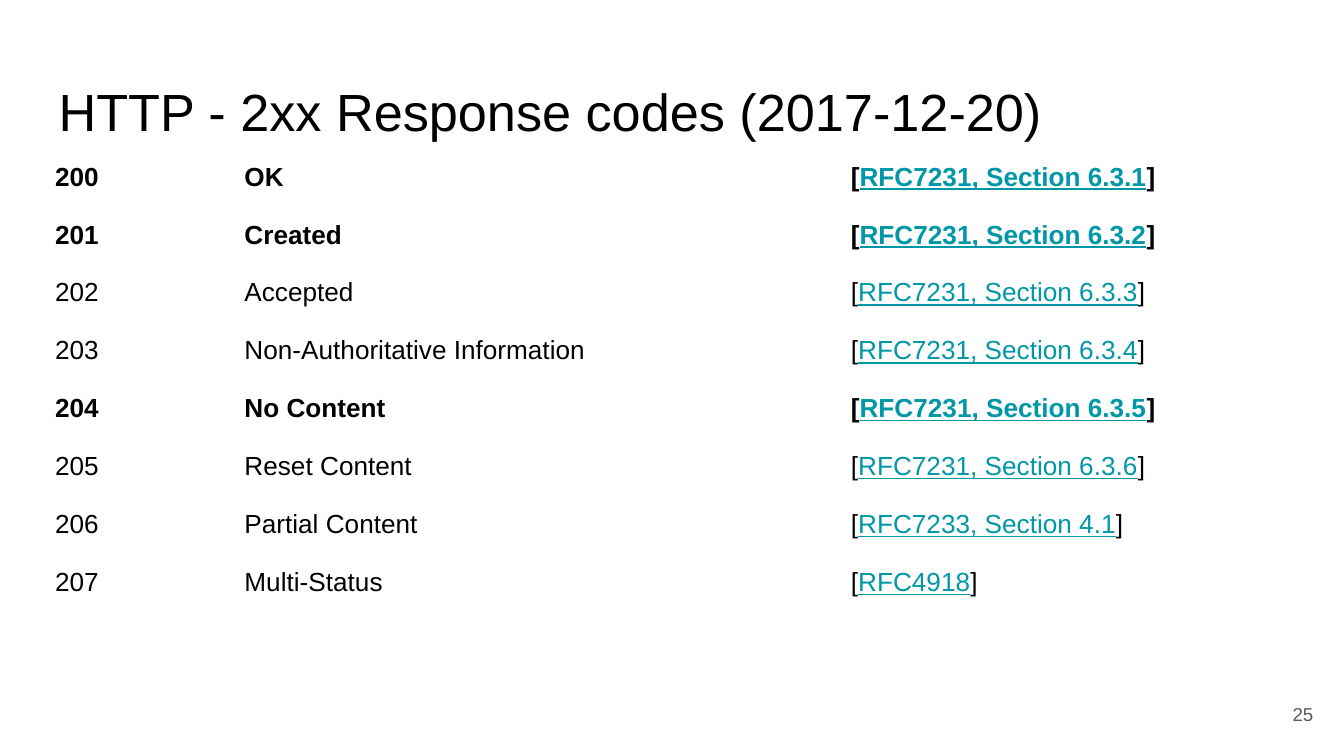
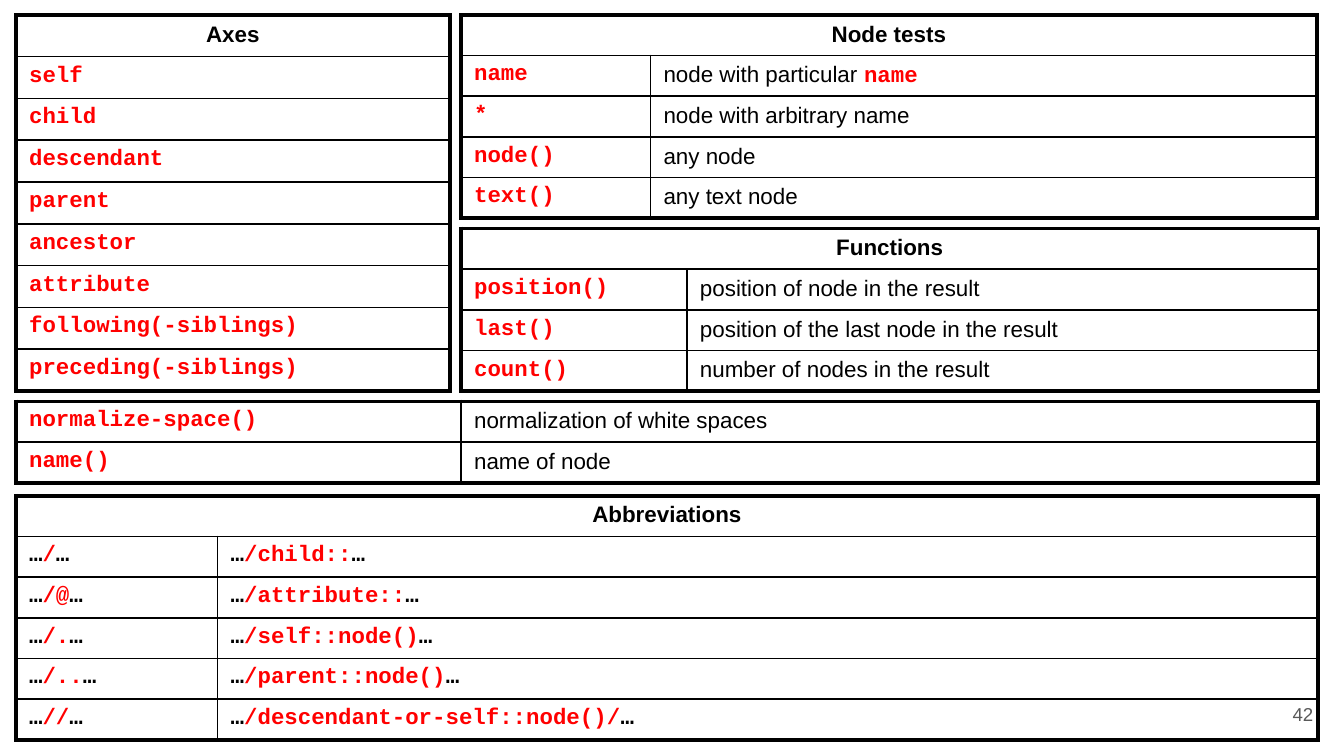
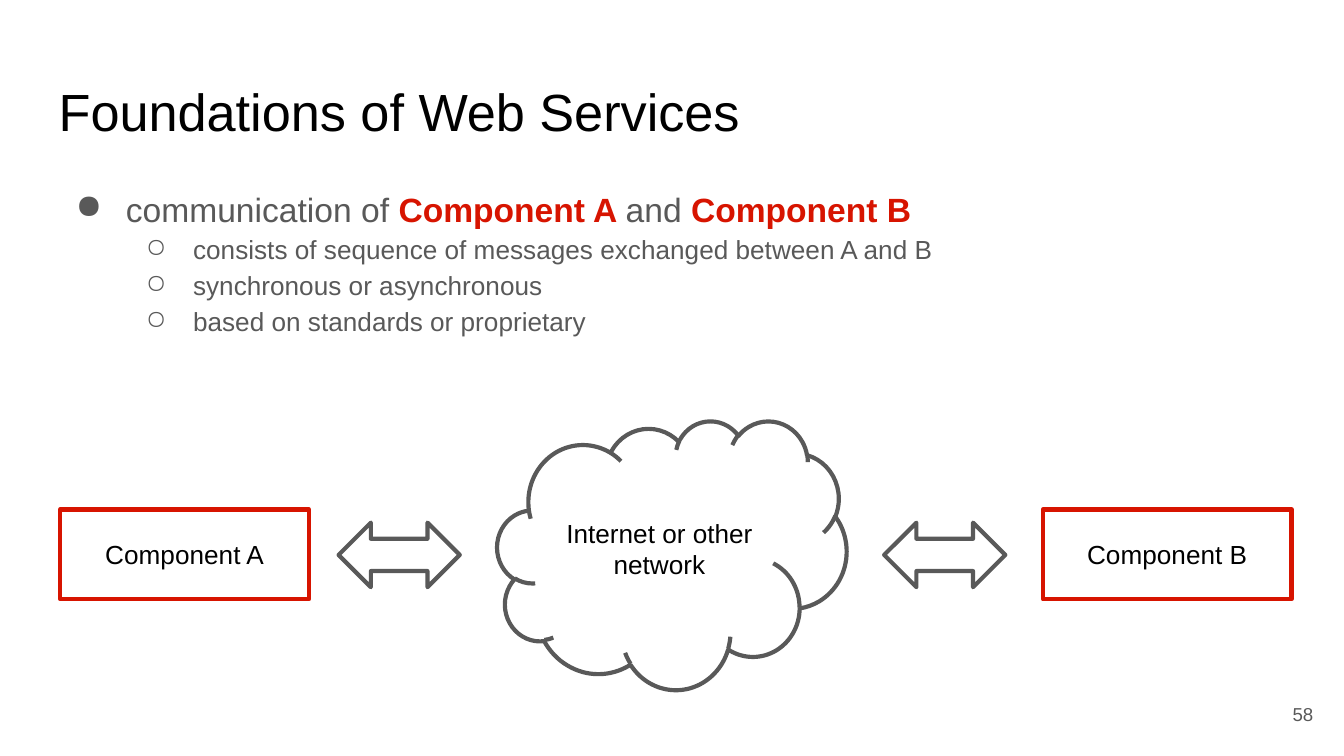
"""Build three lecture slides: HTTP codes, XPath overview and web services."""
from typing import NamedTuple

from lxml.etree import SubElement
from pptx import Presentation
from pptx.dml.color import RGBColor
from pptx.enum.shapes import MSO_SHAPE as Shape
from pptx.enum.text import MSO_ANCHOR as Anchor, PP_ALIGN as Align
from pptx.oxml.ns import qn
from pptx.util import Cm, Pt

BLACK = RGBColor(0x00, 0x00, 0x00)
WHITE = RGBColor(0xFF, 0xFF, 0xFF)
GRAY = RGBColor(0x59, 0x59, 0x59)
CODE_RED = RGBColor(0xFF, 0x00, 0x00)
ACCENT_RED = RGBColor(0xD7, 0x14, 0x00)
LINK_TEAL = RGBColor(0x00, 0x97, 0xA7)

THICK, THIN = 2.25, 1
INSET = 0.25


class Style(NamedTuple):
    """Look of a span of text."""
    color: RGBColor
    bold: bool = False
    name: str = "Arial"
    underline: bool = False


PLAIN = Style(BLACK)
STRONG = Style(BLACK, True)
MUTED = Style(GRAY)
ACCENT = Style(ACCENT_RED, True)
LINK = Style(LINK_TEAL, underline=True)
CODE = Style(CODE_RED, True, "Courier New")
DOTS = Style(BLACK, True, "Courier New")


def plain(text):
    return [(text, PLAIN)]


def code(text):
    return [(text, CODE)]


def dotted(text):
    return [("…", DOTS), (text, CODE), ("…", DOTS)]


RESPONSE_TITLE = "HTTP - 2xx Response codes (2017-12-20)"
RESPONSES = [
    ("200", "OK", "RFC7231, Section 6.3.1"),
    ("201", "Created", "RFC7231, Section 6.3.2"),
    ("202", "Accepted", "RFC7231, Section 6.3.3"),
    ("203", "Non-Authoritative Information", "RFC7231, Section 6.3.4"),
    ("204", "No Content", "RFC7231, Section 6.3.5"),
    ("205", "Reset Content", "RFC7231, Section 6.3.6"),
    ("206", "Partial Content", "RFC7233, Section 4.1"),
    ("207", "Multi-Status", "RFC4918"),
]
KEY_RESPONSES = {"200", "201", "204"}

AXES = ["self", "child", "descendant", "parent", "ancestor", "attribute",
        "following(-siblings)", "preceding(-siblings)"]
NODE_TESTS = [
    (code("name"), plain("node with particular ") + code("name")),
    (code("*"), plain("node with arbitrary name")),
    (code("node()"), plain("any node")),
    (code("text()"), plain("any text node")),
]
FUNCTIONS = [
    ("position()", "position of node in the result"),
    ("last()", "position of the last node in the result"),
    ("count()", "number of nodes in the result"),
]
MORE_FUNCTIONS = [
    ("normalize-space()", "normalization of white spaces"),
    ("name()", "name of node"),
]
ABBREVIATIONS = [
    ("/", "/child::"),
    ("/@", "/attribute::"),
    ("/.", "/self::node()"),
    ("/..", "/parent::node()"),
    ("//", "/descendant-or-self::node()/"),
]


def described(pairs):
    return [(code(name), plain(meaning)) for name, meaning in pairs]


XPATH_TABLES = [
    ("Axes", (0.3, 0.28), [8.2], 0.79, [(code(axis),) for axis in AXES]),
    ("Node tests", (8.71, 0.28), [3.58, 12.6], 0.73, NODE_TESTS),
    ("Functions", (8.71, 4.32), [4.27, 11.94], 0.73, described(FUNCTIONS)),
    (None, (0.3, 7.59), [8.41, 16.2], 0.73, described(MORE_FUNCTIONS)),
    ("Abbreviations", (0.3, 9.37), [3.81, 20.8], 0.73,
     [(dotted(short), dotted(full)) for short, full in ABBREVIATIONS]),
]

SERVICE_TITLE = "Foundations of Web Services"
SERVICE_POINTS = [
    (0, [("communication of ", MUTED), ("Component A ", ACCENT),
         ("and ", MUTED), ("Component B", ACCENT)]),
    (1, [("consists of sequence of messages exchanged between A and B", MUTED)]),
    (1, [("synchronous or asynchronous", MUTED)]),
    (1, [("based on standards or proprietary", MUTED)]),
]
BULLETS = [("●", 18, 1.27, -0.95), ("○", 14, 2.54, -0.89)]
SERVICE_SHAPES = [
    (Shape.RECTANGLE, (1.14, 9.63, 4.7, 1.7), ACCENT_RED, ["Component A"]),
    (Shape.RECTANGLE, (19.71, 9.63, 4.7, 1.7), ACCENT_RED, ["Component B"]),
    (Shape.CLOUD, (9.4, 7.95, 6.6, 5.08), GRAY, ["Internet or other", "network"]),
    (Shape.LEFT_RIGHT_ARROW, (6.4, 9.88, 2.29, 1.22), GRAY, []),
    (Shape.LEFT_RIGHT_ARROW, (16.71, 9.88, 2.29, 1.22), GRAY, []),
]


def cm(values):
    return [Cm(value) for value in values]


def paint(font, style):
    font.name = style.name
    font.bold = style.bold
    font.underline = style.underline
    font.color.rgb = style.color


def write(para, spans, size, align=Align.LEFT):
    base = spans[0][1]
    para.alignment = align
    para.font.size = Pt(size)
    paint(para.font, base)
    for text, style in spans:
        span = para.add_run()
        span.text = text
        if style != base:
            paint(span.font, style)


def paragraphs(frame, count):
    for _ in range(count - 1):
        frame.add_paragraph()
    return frame.paragraphs


def set_insets(target, across, down):
    target.margin_left = target.margin_right = Cm(across)
    target.margin_top = target.margin_bottom = Cm(down)


def add_box(page, place, anchor=Anchor.TOP):
    frame = page.shapes.add_textbox(*cm(place)).text_frame
    frame.word_wrap = True
    frame.vertical_anchor = anchor
    set_insets(frame, INSET, INSET)
    return frame


def add_page(deck, number, title=None):
    page = deck.slides.add_slide(deck.slide_layouts[6])
    if title:
        heading = add_box(page, (0.86, 1.24, 23.67, 1.6))
        write(heading.paragraphs[0], [(title, PLAIN)], 28)
    footer = add_box(page, (23.55, 12.95, 1.52, 1.09), Anchor.MIDDLE)
    write(footer.paragraphs[0], [(str(number), MUTED)], 10, Align.RIGHT)
    return page


def add_grid(page, origin, columns, row_height, row_count):
    size = (sum(columns), row_height * row_count)
    grid = page.shapes.add_table(
        row_count, len(columns), *cm(origin + size)).table
    grid.first_row = grid.horz_banding = False
    for column, width in zip(grid.columns, columns):
        column.width = Cm(width)
    for row in grid.rows:
        row.height = Cm(row_height)
    return grid


def fill_cell(cell, spans, size, insets, align=Align.LEFT):
    set_insets(cell, *insets)
    cell.fill.background()
    write(cell.text_frame.paragraphs[0], spans, size, align)


def add_borders(grid):
    last_row, last_column = len(grid.rows) - 1, len(grid.columns) - 1
    for i in range(last_row + 1):
        for j in range(last_column + 1):
            cell = grid.cell(i, j)
            outer = {
                "L": j == 0,
                "R": j == last_column or cell.is_merge_origin,
                "T": i == 0,
                "B": i == last_row,
            }
            properties = cell._tc.get_or_add_tcPr()
            for side, is_outer in outer.items():
                width = Pt(THICK if is_outer else THIN)
                line = SubElement(properties, qn(f"a:ln{side}"), w=str(width))
                fill = SubElement(line, qn("a:solidFill"))
                SubElement(fill, qn("a:srgbClr"), val=str(BLACK))


def add_response_page(deck):
    page = add_page(deck, 25, RESPONSE_TITLE)
    grid = add_grid(page, (0.86, 2.82), [3.58, 11.46, 9.17], 1.06, len(RESPONSES))
    for i, (number, meaning, reference) in enumerate(RESPONSES):
        bold = number in KEY_RESPONSES
        text, link = PLAIN._replace(bold=bold), LINK._replace(bold=bold)
        row = ([(number, text)], [(meaning, text)],
               [("[", text), (reference, link), ("]", text)])
        for j, spans in enumerate(row):
            fill_cell(grid.cell(i, j), spans, 14, (0.18, INSET))


def add_xpath_page(deck):
    page = add_page(deck, 42)
    insets = (INSET, 0.13)
    for heading, origin, columns, row_height, rows in XPATH_TABLES:
        first = 1 if heading else 0
        grid = add_grid(page, origin, columns, row_height, len(rows) + first)
        if heading and len(columns) > 1:
            grid.cell(0, 0).merge(grid.cell(0, len(columns) - 1))
        add_borders(grid)
        if heading:
            fill_cell(grid.cell(0, 0), [(heading, STRONG)], 12, insets, Align.CENTER)
        for i, row in enumerate(rows, first):
            for j, spans in enumerate(row):
                fill_cell(grid.cell(i, j), spans, 12, insets)


def add_bullet(para, level):
    symbol, size, margin, indent = BULLETS[level]
    para.level = level
    para.line_spacing = 1.15
    properties = para._p.get_or_add_pPr()
    properties.set("marL", str(Cm(margin)))
    properties.set("indent", str(Cm(indent)))
    color = SubElement(properties, qn("a:buClr"))
    SubElement(color, qn("a:srgbClr"), val=str(GRAY))
    SubElement(properties, qn("a:buChar"), char=symbol)
    return size


def add_service_page(deck):
    page = add_page(deck, 58, SERVICE_TITLE)
    body = add_box(page, (0.86, 3.2, 23.67, 9.5))
    for para, (level, spans) in zip(
            paragraphs(body, len(SERVICE_POINTS)), SERVICE_POINTS):
        write(para, spans, add_bullet(para, level))
    for kind, place, color, lines in SERVICE_SHAPES:
        shape = page.shapes.add_shape(kind, *cm(place))
        shape.shadow.inherit = False
        shape.fill.solid()
        shape.fill.fore_color.rgb = WHITE
        shape.line.color.rgb = color
        shape.line.width = Pt(THICK)
        frame = shape.text_frame
        frame.vertical_anchor = Anchor.MIDDLE
        set_insets(frame, INSET, INSET)
        for para, text in zip(paragraphs(frame, len(lines)), lines):
            write(para, [(text, PLAIN)], 14, Align.CENTER)


def main():
    deck = Presentation()
    deck.slide_width, deck.slide_height = cm((25.4, 14.29))
    add_response_page(deck)
    add_xpath_page(deck)
    add_service_page(deck)
    deck.save("out.pptx")


if __name__ == "__main__":
    main()
